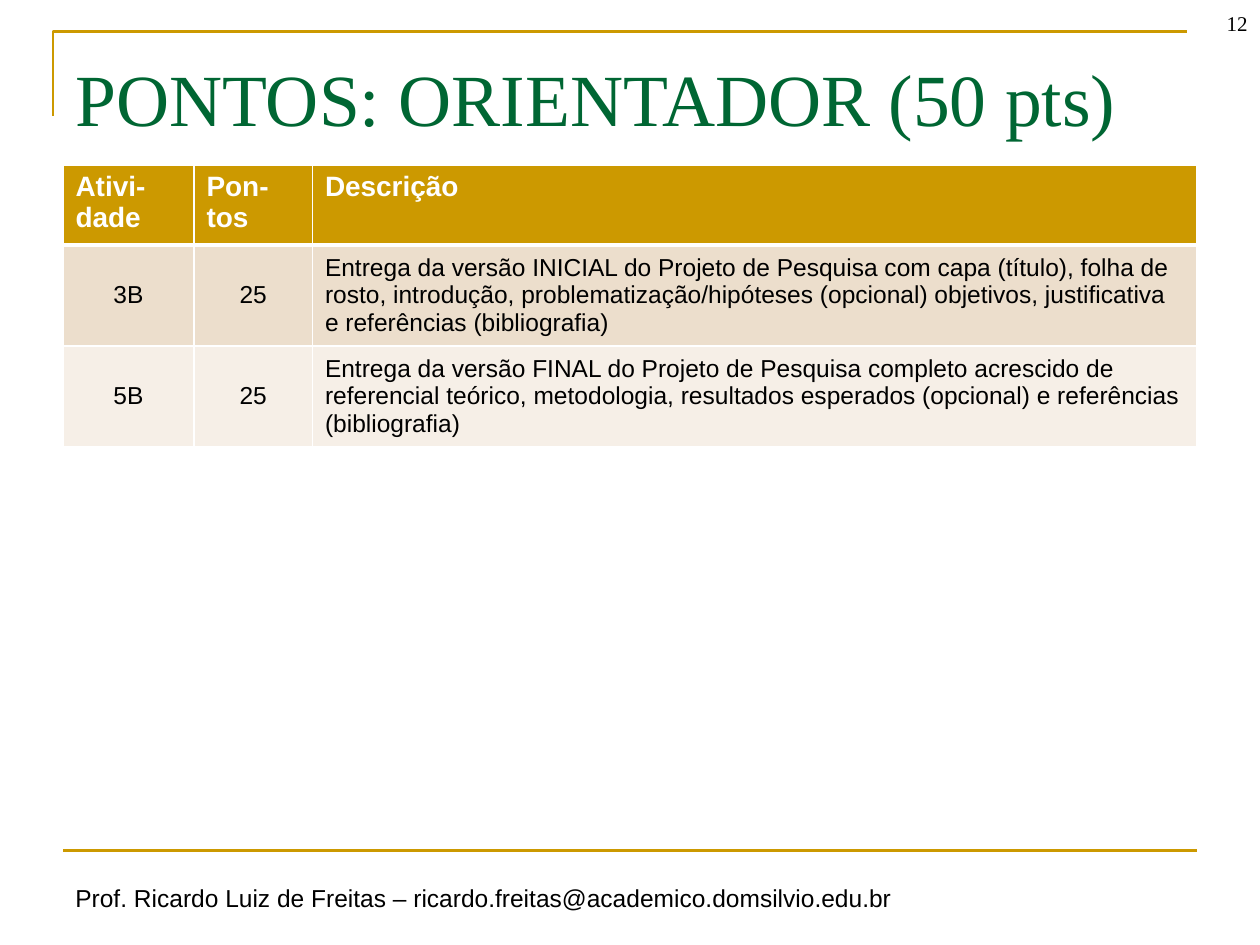
from dataclasses import dataclass

import pptx
import pptx.dml.color
import pptx.enum.shapes
import pptx.enum.text
import pptx.oxml
import pptx.oxml.ns
import pptx.util
from lxml import etree

Inches = pptx.util.Inches
Pt = pptx.util.Pt
ALIGN = pptx.enum.text.PP_ALIGN
ANCHOR = pptx.enum.text.MSO_ANCHOR
A = pptx.oxml.ns.qn

WIDTH, HEIGHT = 10, 7.5
MARGIN = WIDTH / 20
CONTENT = WIDTH - 2 * MARGIN


@dataclass(frozen=True)
class Theme:
    gold: str = "CC9900"
    green: str = "006633"
    black: str = "000000"
    white: str = "FFFFFF"
    bands: tuple = ("ECDECC", "F6EFE7")
    sans: str = "Arial"
    serif: str = "Times New Roman"
    title: int = 42
    header: int = 16
    body: int = 14
    number: int = 12
    rule: float = 1.5


@dataclass(frozen=True)
class Column:
    heading: str
    width: float
    align: ALIGN


@dataclass(frozen=True)
class Activity:
    code: str
    points: str
    description: str


T = Theme()
COLUMNS = (
    Column("Ativi-dade", 1.04, ALIGN.CENTER),
    Column("Pon-tos", 0.94, ALIGN.CENTER),
    Column("Descrição", 7.02, ALIGN.LEFT),
)
ACTIVITIES = (
    Activity("3B", "25", "Entrega da versão INICIAL do Projeto de Pesquisa com capa (título), "
             "folha de rosto, introdução, problematização/hipóteses (opcional) objetivos, "
             "justificativa e referências (bibliografia)"),
    Activity("5B", "25", "Entrega da versão FINAL do Projeto de Pesquisa completo acrescido de "
             "referencial teórico, metodologia, resultados esperados (opcional) e referências "
             "(bibliografia)"),
)
HEADER_HEIGHT, ROW_HEIGHT = 0.58, 0.75


def rgb(color: str) -> pptx.dml.color.RGBColor:
    return pptx.dml.color.RGBColor.from_string(color)


def write(tf, text: str, *, size: float, color: str = T.black, font: str = T.sans,
          bold: bool = False, align: ALIGN = ALIGN.LEFT) -> None:
    p = tf.paragraphs[0]
    p.alignment = align
    r = p.add_run()
    r.text = text
    r.font.size = Pt(size)
    r.font.name = font
    r.font.bold = bold
    r.font.color.rgb = rgb(color)


def add_text(slide, text: str, box: tuple, *, anchor: ANCHOR = ANCHOR.TOP,
             wrap: bool = True, top_inset: float = 0.05, **fmt) -> None:
    tf = slide.shapes.add_textbox(*map(Inches, box)).text_frame
    tf.word_wrap = wrap
    tf.vertical_anchor = anchor
    tf.margin_top = Inches(top_inset)
    write(tf, text, **fmt)


def style_line(sp) -> None:
    sp.line.color.rgb = rgb(T.gold)
    sp.line.width = Pt(T.rule)


def add_corner(slide, left: float, top: float, width: float, height: float) -> None:
    builder = slide.shapes.build_freeform(Inches(left), Inches(top + height))
    points = ((left, top), (left + width, top))
    builder.add_line_segments([(Inches(x), Inches(y)) for x, y in points], close=False)
    sp = builder.convert_to_shape()
    sp.fill.background()
    sp.shadow.inherit = False
    style_line(sp)


def add_rule(slide, y: float) -> None:
    sp = slide.shapes.add_connector(
        pptx.enum.shapes.MSO_CONNECTOR.STRAIGHT,
        Inches(MARGIN), Inches(y), Inches(WIDTH - MARGIN), Inches(y))
    style_line(sp)
    etree.SubElement(sp._element.spPr, A("a:effectLst"))


def set_borders(cell, **widths: float) -> None:
    pr = cell._tc.get_or_add_tcPr()
    for i, side in enumerate("LRTB"):
        ln = etree.Element(A(f"a:ln{side}"), w=str(Pt(widths.get(side, 1))))
        fill = etree.SubElement(ln, A("a:solidFill"))
        etree.SubElement(fill, A("a:srgbClr"), val=T.white)
        pr.insert(i, ln)


def fill_cell(cell, text: str, fill: str, anchor: ANCHOR, borders: dict, **fmt) -> None:
    cell.fill.solid()
    cell.fill.fore_color.rgb = rgb(fill)
    cell.vertical_anchor = anchor
    write(cell.text_frame, text, **fmt)
    set_borders(cell, **borders)


def add_activities(slide, top: float) -> None:
    heights = [HEADER_HEIGHT] + [ROW_HEIGHT] * len(ACTIVITIES)
    table = slide.shapes.add_table(
        len(heights), len(COLUMNS), Inches(MARGIN), Inches(top),
        Inches(CONTENT), Inches(sum(heights))).table
    for row, height in zip(table.rows, heights):
        row.height = Inches(height)
    for c, column in enumerate(COLUMNS):
        table.columns[c].width = Inches(column.width)
        fill_cell(table.cell(0, c), column.heading, T.gold, ANCHOR.TOP, {"B": 3},
                  size=T.header, color=T.white, bold=True)
    for i, activity in enumerate(ACTIVITIES):
        values = (activity.code, activity.points, activity.description)
        for c, (column, value) in enumerate(zip(COLUMNS, values)):
            fill_cell(table.cell(i + 1, c), value, T.bands[i % 2], ANCHOR.MIDDLE,
                      {"T": 3 if i == 0 else 1}, size=T.body, align=column.align)


def main() -> None:
    prs = pptx.Presentation()
    prs.slide_width, prs.slide_height = Inches(WIDTH), Inches(HEIGHT)
    slide = prs.slides.add_slide(prs.slide_layouts[6])
    add_corner(slide, 0.42, 0.25, CONTENT, 0.67)
    add_rule(slide, HEIGHT * 0.9)
    add_text(slide, "Prof. Ricardo Luiz de Freitas – ricardo.freitas@academico.domsilvio.edu.br",
             (MARGIN, 6.96, 6.86, 0.34), wrap=False, size=T.body)
    add_text(slide, "PONTOS: ORIENTADOR (50 pts)", (MARGIN, 0.3, CONTENT, 1.25),
             top_inset=0.12, size=T.title, color=T.green, font=T.serif)
    add_text(slide, "12", (WIDTH - MARGIN, 0, MARGIN, 0.33), anchor=ANCHOR.BOTTOM,
             size=T.number, font=T.serif, align=ALIGN.RIGHT)
    add_activities(slide, 1.31)
    prs.save("out.pptx")


if __name__ == "__main__":
    main()
